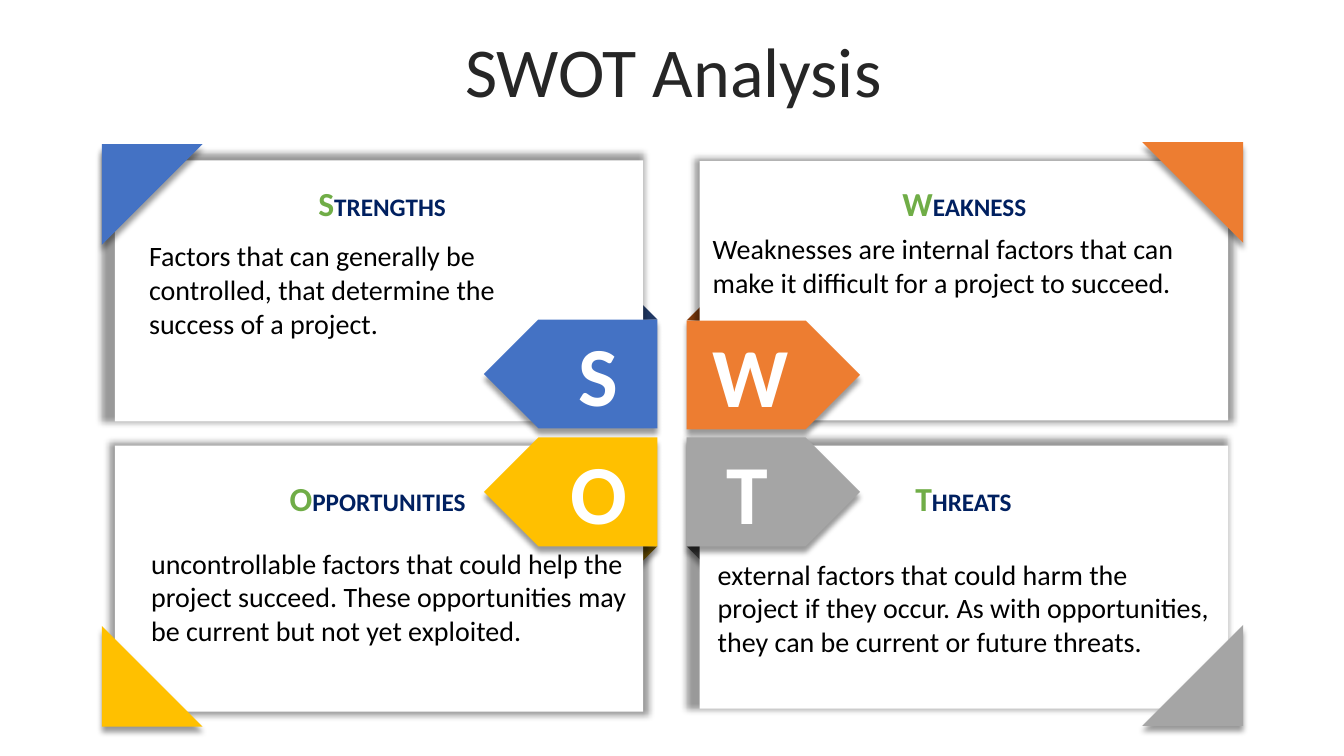
import pptx
import pptx.util
import pptx.dml.color
import pptx.enum.shapes
import pptx.enum.text
import pptx.oxml
import pptx.oxml.ns

Inches, Pt = pptx.util.Inches, pptx.util.Pt
RGBColor = pptx.dml.color.RGBColor
MSO_SHAPE = pptx.enum.shapes.MSO_SHAPE
MSO_ANCHOR = pptx.enum.text.MSO_ANCHOR
MSO_AUTO_SIZE = pptx.enum.text.MSO_AUTO_SIZE
PP_ALIGN = pptx.enum.text.PP_ALIGN

FONT = "Calibri"
WHITE = RGBColor(0xFF, 0xFF, 0xFF)
BLACK = RGBColor(0, 0, 0)
CHARCOAL = RGBColor(0x26, 0x26, 0x26)
GREEN = RGBColor(0x70, 0xAD, 0x47)
NAVY = RGBColor(0x00, 0x20, 0x60)
BLUE, DARK_BLUE = RGBColor(0x44, 0x72, 0xC4), RGBColor(0x20, 0x38, 0x64)
ORANGE, DARK_ORANGE = RGBColor(0xED, 0x7D, 0x31), RGBColor(0x84, 0x3C, 0x0B)
GOLD, DARK_GOLD = RGBColor(0xFF, 0xC0, 0x00), RGBColor(0x80, 0x60, 0x00)
GREY, DARK_GREY = RGBColor(0xA5, 0xA5, 0xA5), RGBColor(0x52, 0x52, 0x52)

ARROW_W, ARROW_H = 1.72, 1.08
CORNER = 1.0
FOLD = 0.17

# Offsets in heading and body are relative to the card's top-left corner
QUADRANTS = [
    dict(card=(1.14, 1.59, 5.24, 2.59), left=True, top=True, wide_shadow=True,
         color=BLUE, dark=DARK_BLUE, title="STRENGTHS", corner_dy=0.16,
         heading=(0.03, 0.18, 5.24, 0.5), body=(0.24, 0.73, 4.51, 1.11),
         text="Factors that can generally be controlled, that determine the "
              "success of a project."),
    dict(card=(6.94, 1.6, 5.24, 2.57), left=False, top=True, wide_shadow=False,
         color=ORANGE, dark=DARK_ORANGE, title="WEAKNESS", corner_dy=0.19,
         heading=(0, 0.17, 5.25, 0.5), body=(0.03, 0.65, 5.38, 0.77),
         text="Weaknesses are internal factors that can make it difficult for "
              "a project to succeed."),
    dict(card=(1.14, 4.42, 5.24, 2.64), left=True, top=False, wide_shadow=False,
         color=GOLD, dark=DARK_GOLD, title="OPPORTUNITIES", corner_dy=0.15,
         heading=(0, 0.27, 5.21, 0.5), body=(0.26, 0.95, 5, 1.45),
         text="uncontrollable factors that could help the project succeed. "
              "These opportunities may be current but not yet exploited."),
    dict(card=(6.94, 4.42, 5.24, 2.61), left=False, top=False, wide_shadow=True,
         color=GREY, dark=DARK_GREY, title="THREATS", corner_dy=0.17,
         heading=(0.01, 0.27, 5.21, 0.5), body=(0.08, 1.06, 5.08, 1.45),
         text="external factors that could harm the project if they occur. As "
              "with opportunities, they can be current or future threats."),
]


def add_run(p, text, size=20, color=BLACK, bold=False):
    r = p.add_run()
    r.text = text
    r.font.name, r.font.size, r.font.bold = FONT, Pt(size), bold
    r.font.color.rgb = color


def add_text(slide, box, runs, align=PP_ALIGN.LEFT):
    tb = slide.shapes.add_textbox(*map(Inches, box))
    tf = tb.text_frame
    tf.word_wrap = True
    tf.auto_size = MSO_AUTO_SIZE.SHAPE_TO_FIT_TEXT
    p = tf.paragraphs[0]
    p.alignment = align
    for text, fmt in runs:
        add_run(p, text, **fmt)


def style(sp, color, blur=4, dist=4, scale=100, align="t"):
    sp.fill.solid()
    sp.fill.fore_color.rgb = color
    sp.line.fill.background()
    sp.shadow.inherit = False
    effects = sp._element.spPr.find(pptx.oxml.ns.qn("a:effectLst"))
    effects.append(pptx.oxml.parse_xml(
        f'<a:outerShdw {pptx.oxml.ns.nsdecls("a")} blurRad="{Pt(blur)}" '
        f'dist="{Pt(dist)}" dir="{5400000 if dist else 0}" '
        f'sx="{scale * 1000:.0f}" sy="{scale * 1000:.0f}" algn="{align}" '
        'rotWithShape="0"><a:srgbClr val="000000"><a:alpha val="40000"/>'
        '</a:srgbClr></a:outerShdw>'))


def add_shape(slide, kind, box, color, rotation=0, **shadow):
    sp = slide.shapes.add_shape(kind, *map(Inches, box))
    sp.rotation = rotation
    style(sp, color, **shadow)


def add_title(slide, box, text):
    sp = slide.shapes.title
    sp.left, sp.top, sp.width, sp.height = map(Inches, box)
    tf = sp.text_frame
    tf.word_wrap = True
    tf.auto_size = MSO_AUTO_SIZE.NONE
    tf.vertical_anchor = MSO_ANCHOR.MIDDLE
    p = tf.paragraphs[0]
    p.alignment = PP_ALIGN.CENTER
    p.line_spacing, p.space_before = 0.8, Pt(10)
    add_run(p, text, size=50, color=CHARCOAL)


def add_quadrant(slide, q):
    x, y, w, h = q["card"]
    left, top = q["left"], q["top"]
    arrow_x = x + 3.66 if left else x - 0.13
    arrow_y = y + 1.58 if top else y - 0.08

    # Fold behind the card, at the arrow's flat end
    edge_x = arrow_x + ARROW_W if left else arrow_x
    edge_y = arrow_y if top else arrow_y + ARROW_H
    inner_x = edge_x - FOLD if left else edge_x + FOLD
    tip_y = edge_y - FOLD if top else edge_y + FOLD
    fb = slide.shapes.build_freeform(Inches(inner_x), Inches(edge_y))
    fb.add_line_segments([(Inches(edge_x), Inches(edge_y)),
                          (Inches(inner_x), Inches(tip_y))], close=True)
    style(fb.convert_to_shape(), q["dark"])

    # Card
    scale, align = (102.5, "br") if q["wide_shadow"] else (102, "ctr")
    add_shape(slide, MSO_SHAPE.RECTANGLE, q["card"], WHITE,
              blur=5, dist=0, scale=scale, align=align)

    # Arrow with its letter
    add_shape(slide, MSO_SHAPE.PENTAGON, (arrow_x, arrow_y, ARROW_W, ARROW_H),
              q["color"], rotation=180 if left else 0)
    letter_x = x + 4.35 if left else x + 0.03
    add_text(slide, (letter_x, arrow_y - 0.02, 0.89, 1.11),
             [(q["title"][0], dict(size=60, color=WHITE, bold=True))],
             PP_ALIGN.CENTER)

    # Corner triangle
    corner_x = x - 0.13 if left else x + w + 0.15 - CORNER
    corner_y = y - q["corner_dy"] if top else y + h + q["corner_dy"] - CORNER
    rotation = {(True, True): 90, (False, True): 180,
                (False, False): 270, (True, False): 0}[left, top]
    add_shape(slide, MSO_SHAPE.RIGHT_TRIANGLE,
              (corner_x, corner_y, CORNER, CORNER), q["color"], rotation)

    # Heading and body
    dx, dy, tw, th = q["heading"]
    add_text(slide, (x + dx, y + dy, tw, th),
             [(q["title"][0], dict(size=24, color=GREEN, bold=True)),
              (q["title"][1:], dict(size=18, color=NAVY, bold=True))],
             PP_ALIGN.CENTER)
    dx, dy, tw, th = q["body"]
    add_text(slide, (x + dx, y + dy, tw, th), [(q["text"], {})])


def main():
    prs = pptx.Presentation()
    prs.slide_width, prs.slide_height = Inches(13.33), Inches(7.5)
    slide = prs.slides.add_slide(prs.slide_layouts[5])
    add_title(slide, (0.35, 0.37, 12.66, 0.79), "SWOT Analysis")
    for q in QUADRANTS:
        add_quadrant(slide, q)
    prs.save("out.pptx")


if __name__ == "__main__":
    main()
